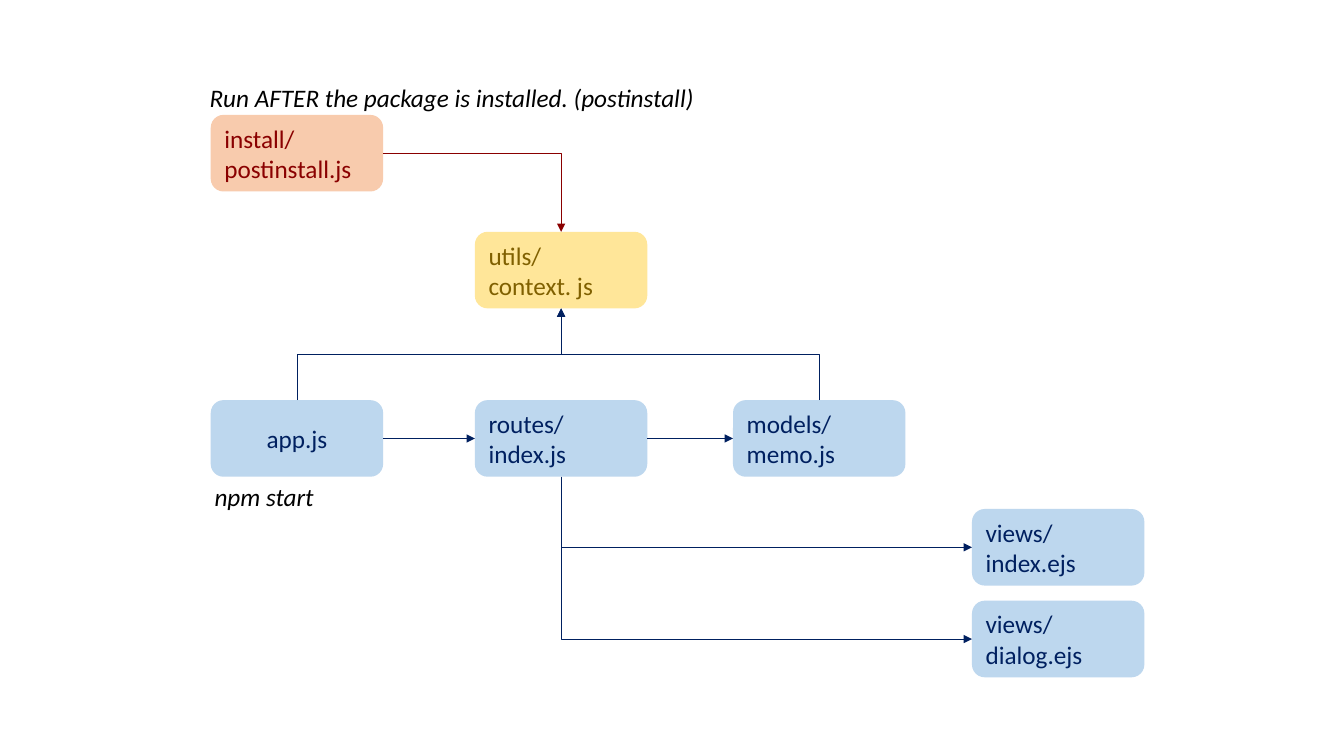
import typing

import lxml.etree
import pptx
import pptx.dml.color
import pptx.enum.shapes
import pptx.enum.text
import pptx.oxml.ns
import pptx.util

Inches = pptx.util.Inches
RGBColor = pptx.dml.color.RGBColor
Align = pptx.enum.text.PP_ALIGN
qn = pptx.oxml.ns.qn

NAVY = RGBColor(0x00, 0x20, 0x60)
DARK_RED = RGBColor(0x8A, 0x00, 0x00)
OLIVE = RGBColor(0x80, 0x60, 0x00)
BLACK = RGBColor(0x00, 0x00, 0x00)
LIGHT_BLUE = RGBColor(0xBD, 0xD7, 0xEE)
PEACH = RGBColor(0xF8, 0xCB, 0xAD)
YELLOW = RGBColor(0xFF, 0xE6, 0x99)

FONT = "Calibri"
BOX_W, BOX_H = Inches(1.71), Inches(0.76)
APP_X, ROUTES_X, MODELS_X, VIEWS_X = 2.09, 4.71, 7.27, 9.64
MAIN_Y = 3.97

# Connection sites of a rounded rectangle
TOP, LEFT, BOTTOM, RIGHT = range(4)


class Box(typing.NamedTuple):
    name: str
    left: float
    top: float
    lines: tuple[str, ...]
    fill: RGBColor = LIGHT_BLUE
    color: RGBColor = NAVY
    align: Align = Align.LEFT


class Link(typing.NamedTuple):
    start: str
    start_site: int
    end: str
    end_site: int
    color: RGBColor = NAVY


class Note(typing.NamedTuple):
    left: float
    top: float
    width: float
    text: str


BOXES = [
    Box("app", APP_X, MAIN_Y, ("app.js",), align=Align.CENTER),
    Box("postinstall", APP_X, 1.14, ("install/", "postinstall.js"), PEACH, DARK_RED),
    Box("models", MODELS_X, MAIN_Y, ("models/", "memo.js")),
    Box("routes", ROUTES_X, MAIN_Y, ("routes/", "index.js")),
    Box("dialog", VIEWS_X, 5.96, ("views/", "dialog.ejs")),
    Box("index", VIEWS_X, 5.05, ("views/", "index.ejs")),
    Box("context", ROUTES_X, 2.3, ("utils/", "context. js"), YELLOW, OLIVE),
]

LINKS = [
    Link("app", TOP, "context", BOTTOM),
    Link("routes", RIGHT, "models", LEFT),
    Link("app", RIGHT, "routes", LEFT),
    Link("routes", BOTTOM, "index", LEFT),
    Link("routes", BOTTOM, "dialog", LEFT),
    Link("models", TOP, "context", BOTTOM),
    Link("postinstall", RIGHT, "context", TOP, DARK_RED),
]

NOTES = [
    Note(1.98, 0.77, 5.11, "Run AFTER the package is installed. (postinstall)"),
    Note(2.03, 4.73, 1.2, "npm start"),
]


def write(tf, lines: tuple[str, ...], color: RGBColor, align: Align,
          italic: bool = False) -> None:
    for i, line in enumerate(lines):
        p = tf.add_paragraph() if i else tf.paragraphs[0]
        p.text = line
        p.alignment = align
        p.font.name = FONT
        p.font.size = pptx.util.Pt(18)
        p.font.italic = italic
        p.font.color.rgb = color


def draw_box(s, box: Box):
    sp = s.shapes.add_shape(pptx.enum.shapes.MSO_SHAPE.ROUNDED_RECTANGLE,
                            Inches(box.left), Inches(box.top), BOX_W, BOX_H)
    sp.shadow.inherit = False
    sp.fill.solid()
    sp.fill.fore_color.rgb = box.fill
    sp.line.fill.background()
    tf = sp.text_frame
    tf.word_wrap = True
    tf.vertical_anchor = pptx.enum.text.MSO_ANCHOR.MIDDLE
    write(tf, box.lines, box.color, box.align)
    return sp


def start_vertically(c) -> None:
    """Turn an elbow a quarter so that it leaves its start up or down."""
    dx, dy = c.end_x - c.begin_x, c.end_y - c.begin_y
    mid_x, mid_y = c.begin_x + dx // 2, c.begin_y + dy // 2
    c.width, c.height = abs(dy), abs(dx)
    c.left, c.top = mid_x - c.width // 2, mid_y - c.height // 2
    xfrm = c._element.spPr.find(qn("a:xfrm"))
    xfrm.set("rot", str(270 * 60000))
    xfrm.set("flipH", str(int(dy > 0)))
    xfrm.set("flipV", str(int(dx < 0)))


def draw_link(s, link: Link, shapes: dict) -> None:
    c = s.shapes.add_connector(pptx.enum.shapes.MSO_CONNECTOR.ELBOW, 0, 0, 0, 0)
    c.begin_connect(shapes[link.start], link.start_site)
    c.end_connect(shapes[link.end], link.end_site)
    vertical = (TOP, BOTTOM)
    spPr = c._element.spPr
    if (link.start_site in vertical) != (link.end_site in vertical):
        spPr.find(qn("a:prstGeom")).set("prst", "bentConnector2")
    if link.start_site in vertical:
        start_vertically(c)
    c.line.color.rgb = link.color
    c.line.width = pptx.util.Pt(0.5)
    # Arrowhead at the end, no shadow
    ln = spPr.find(qn("a:ln"))
    lxml.etree.SubElement(ln, qn("a:tailEnd"), type="triangle")
    lxml.etree.SubElement(spPr, qn("a:effectLst"))


def draw_note(s, note: Note) -> None:
    sp = s.shapes.add_textbox(Inches(note.left), Inches(note.top),
                              Inches(note.width), Inches(0.4))
    tf = sp.text_frame
    tf.word_wrap = False
    tf.auto_size = pptx.enum.text.MSO_AUTO_SIZE.SHAPE_TO_FIT_TEXT
    write(tf, (note.text,), BLACK, Align.LEFT, italic=True)


prs = pptx.Presentation()
prs.slide_width, prs.slide_height = Inches(13.33), Inches(7.5)
s = prs.slides.add_slide(prs.slide_layouts[6])

# Files, their dependencies and the commands that start them
shapes = {box.name: draw_box(s, box) for box in BOXES}
for link in LINKS:
    draw_link(s, link, shapes)
for note in NOTES:
    draw_note(s, note)

prs.save("out.pptx")
